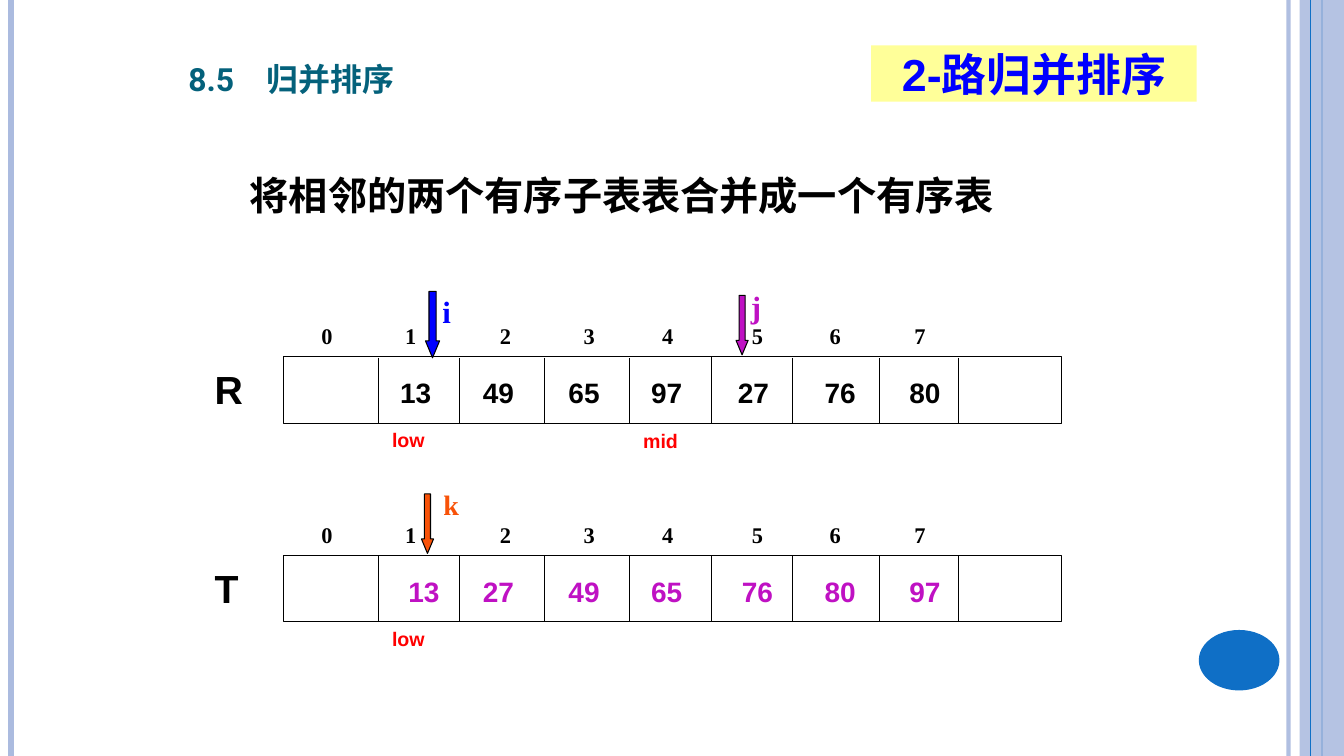
from lxml.etree import SubElement
from pptx import Presentation
from pptx.dml.color import RGBColor
from pptx.enum.shapes import MSO_CONNECTOR, MSO_SHAPE
from pptx.enum.text import MSO_ANCHOR, MSO_AUTO_SIZE, PP_ALIGN
from pptx.oxml.ns import qn
from pptx.util import Inches, Pt

COLORS = {
    "pale": "ABBBDF", "accent": "0F6FC6", "teal": "04617B", "yellow": "FFFF99",
    "blue": "0000FF", "orange": "F85208", "purple": "BF11C3", "red": "FF0000",
    "black": "000000", "white": "FFFFFF",
}
CJK_FONT = "Noto Sans CJK SC"
INDEX_TABS = [0.83, 1.77, 2.6, 3.38, 4.27, 5.04, 5.88]
DIVIDERS = [3.75, 4.56, 5.4, 6.24, 7.86, 8.72, 9.51]
HALVES = [(2.81, 4.25), (7.06, 3.47)]
ROW_HEIGHT = 0.66


class SlideBuilder:
    def __init__(self, slide):
        self.slide = slide

    def color(self, target, name, alpha=None):
        target.solid()
        target.fore_color.rgb = RGBColor.from_string(COLORS[name])
        if alpha:
            srgb = next(target._xPr.iter(qn("a:srgbClr")))
            SubElement(srgb, qn("a:alpha")).set("val", str(alpha * 1000))

    def shape(self, kind, left, top, width, height, fill, line=None, alpha=None, parent=None):
        shape = (parent or self.slide).shapes.add_shape(
            kind, Inches(left), Inches(top), Inches(width), Inches(height))
        shape.shadow.inherit = False
        self.color(shape.fill, fill, alpha)
        if line:
            self.color(shape.line.fill, line)
            shape.line.width = Pt(0.75)
        else:
            shape.line.fill.background()
        return shape

    def vertical(self, x, top, bottom, color, width, alpha=None):
        rule = self.slide.shapes.add_connector(
            MSO_CONNECTOR.STRAIGHT, Inches(x), Inches(top), Inches(x), Inches(bottom))
        self.color(rule.line.fill, color, alpha)
        rule.line.width = Pt(width)
        SubElement(rule._element.spPr, qn("a:effectLst"))

    def fill_text(self, frame, text, size, color, font="Arial", align=PP_ALIGN.LEFT, tabs=()):
        frame.word_wrap = True
        paragraph = frame.paragraphs[0]
        paragraph.text = text
        paragraph.alignment = align
        if tabs:
            tab_list = SubElement(paragraph._p.get_or_add_pPr(), qn("a:tabLst"))
            for stop in tabs:
                tab = SubElement(tab_list, qn("a:tab"))
                tab.set("pos", str(Inches(stop)))
                tab.set("algn", "l")
        paragraph.font.name = font
        paragraph.font.size = Pt(size)
        paragraph.font.bold = True
        paragraph.font.color.rgb = RGBColor.from_string(COLORS[color])
        defaults = paragraph._p.pPr.find(qn("a:defRPr"))
        east_asian = SubElement(defaults, qn("a:ea"))
        east_asian.set("typeface", CJK_FONT)
        return paragraph

    def text(self, left, top, width, height, text, size, color, parent=None, **style):
        box = (parent or self.slide).shapes.add_textbox(
            Inches(left), Inches(top), Inches(width), Inches(height))
        paragraph = self.fill_text(box.text_frame, text, size, color, **style)
        box.text_frame.auto_size = MSO_AUTO_SIZE.SHAPE_TO_FIT_TEXT
        return box, paragraph

    def array(self, name, top, values, color, first_align=PP_ALIGN.LEFT):
        for left, width in HALVES:
            self.shape(MSO_SHAPE.RECTANGLE, left, top, width, ROW_HEIGHT, "white", "black")
        for x in DIVIDERS:
            self.vertical(x, top + 0.01, top + ROW_HEIGHT, "black", 0.75)
        self.text(2.03, top + 0.04, 0.67, 0.57, name, 28, "black")
        for position, (value, left) in enumerate(values.items()):
            align = PP_ALIGN.LEFT if position else first_align
            self.text(left, top + 0.14, 0.67, 0.44, value, 20, color, align=align)
        self.text(3.09, top - 0.39, 6.66, 0.37, "\t".join("01234567"), 16, "black",
                  font="Times New Roman", tabs=INDEX_TABS)
        self.mark("low", 3.79, top + ROW_HEIGHT)

    def mark(self, label, left, top):
        self.text(left, top, 0.67, 0.34, label, 14, "red")

    def pointer(self, label, color, arrow, label_at, size):
        group = self.slide.shapes.add_group_shape()
        down = self.shape(MSO_SHAPE.DOWN_ARROW, *arrow, color, "black", parent=group)
        down.adjustments[0] = 0.5
        down.adjustments[1] = 1.194
        self.text(*label_at, label, size, color, parent=group, font="Times New Roman")


def main():
    deck = Presentation()
    deck.slide_width, deck.slide_height = Inches(13.33), Inches(7.5)
    page = SlideBuilder(deck.slides.add_slide(deck.slide_layouts[6]))

    # Side decoration
    page.vertical(12.78, 0, 7.5, "pale", 3, alpha=93)
    page.vertical(0.11, 0, 7.5, "pale", 4.5)
    page.vertical(13.11, 0, 7.5, "accent", 1.5)
    page.shape(MSO_SHAPE.RECTANGLE, 12.89, 0, 0.44, 7.5, "pale", alpha=87)
    page.vertical(13, 0, 7.5, "accent", 0.75)
    page.shape(MSO_SHAPE.OVAL, 11.89, 6.25, 0.8, 0.6, "accent")

    # Headings
    section, section_line = page.text(1.77, 0.43, 4.46, 0.61, "8.5\t归并排序", 28.5, "teal",
                                      font="Roboto", tabs=[0.78])
    section.text_frame.auto_size = MSO_AUTO_SIZE.NONE
    section.text_frame.vertical_anchor = MSO_ANCHOR.BOTTOM
    for run in section_line.runs:
        run._r.get_or_add_rPr().set("cap", "small")

    topic = page.shape(MSO_SHAPE.RECTANGLE, 8.64, 0.45, 3.23, 0.56, "yellow")
    page.fill_text(topic.text_frame, "2-路归并排序", 32, "blue", align=PP_ALIGN.CENTER)
    topic.text_frame.vertical_anchor = MSO_ANCHOR.MIDDLE

    _, summary = page.text(1.39, 1.65, 9.13, 0.57, "将相邻的两个有序子表表合并成一个有序表",
                           28, "black", font=CJK_FONT)
    summary._p.pPr.set("marL", str(Inches(0.93)))
    summary._p.pPr.set("indent", str(Inches(0.06)))

    # Source array R and merged array T
    page.array("R", 3.54, {"13": 3.87, "49": 4.69, "65": 5.54, "97": 6.36,
                           "27": 7.22, "76": 8.08, "80": 8.92}, "black")
    page.mark("mid", 6.28, 4.21)
    page.array("T", 5.51, {"13": 3.87, "27": 4.69, "49": 5.54, "65": 6.36,
                           "76": 7.26, "80": 8.08, "97": 8.92}, "purple", PP_ALIGN.CENTER)

    # Merge pointers
    page.pointer("i", "blue", (4.22, 2.89, 0.14, 0.66), (4.29, 2.86, 0.53, 0.47), 22)
    page.pointer("j", "purple", (7.3, 2.93, 0.12, 0.59), (7.35, 2.81, 0.53, 0.47), 22)
    page.pointer("k", "orange", (4.18, 4.9, 0.12, 0.59), (4.3, 4.79, 0.53, 0.44), 20)

    deck.save("out.pptx")


if __name__ == "__main__":
    main()
